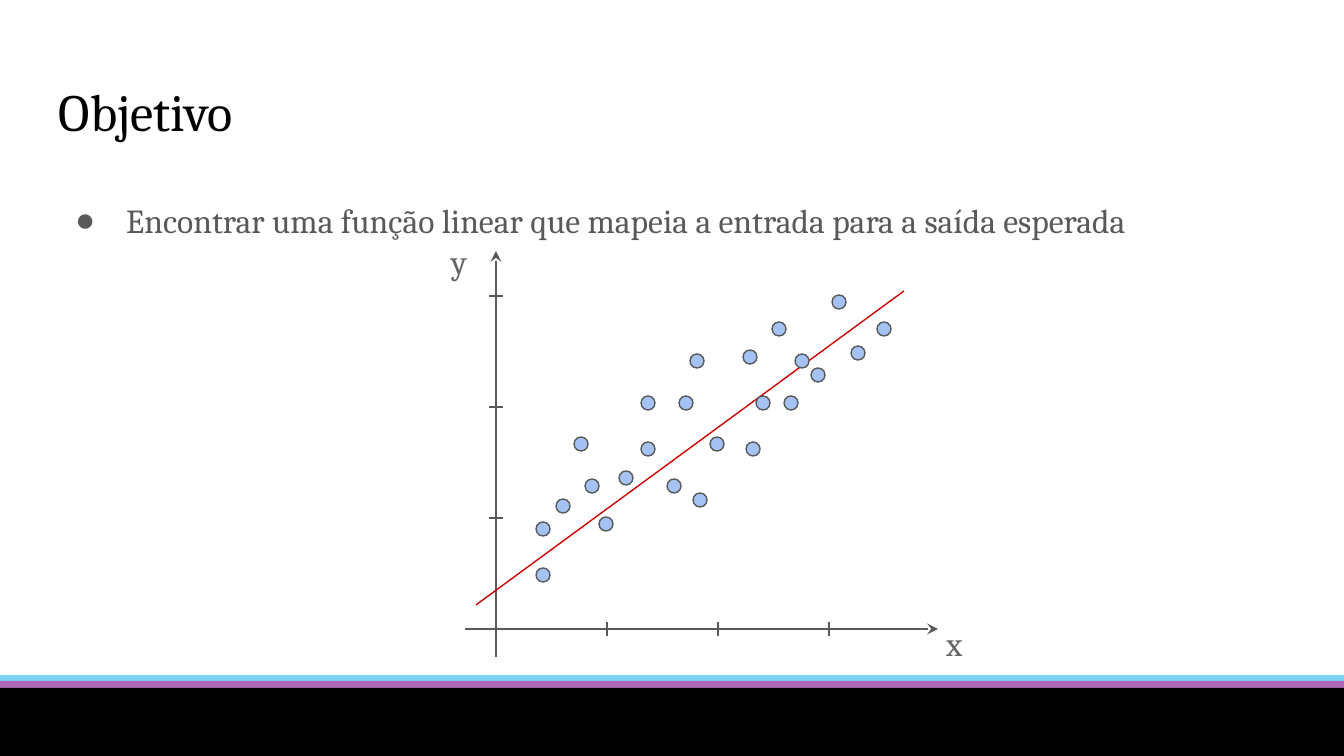
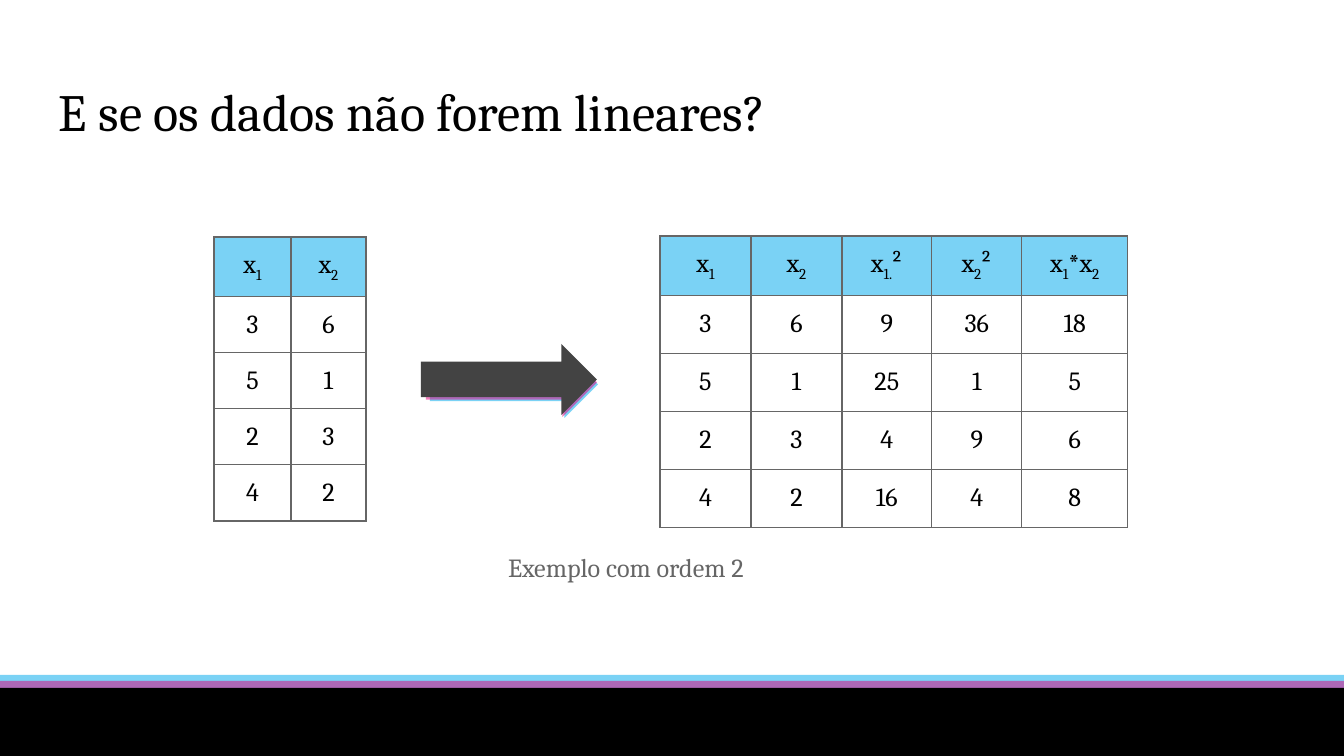
from lxml import etree
from pptx import Presentation
from pptx import util as u
from pptx.dml.color import RGBColor
from pptx.enum import shapes, text
from pptx.oxml import ns

FONT = "Cambria"
BLACK, DARK, GRAY, LABEL = "000000", "434343", "595959", "666666"
BLUE, PINK, DOT_BLUE, RED = "00A9EC", "E3007B", "A4C2F4", "CC0000"
BLUE_ALPHA, PINK_ALPHA = 52, 50
MARGIN = 13
EMU_PER_PX = 914400 / 134.4
WIDTH, HEIGHT = 1344, 756

# Bands and arrow layers, back to front: box, colour, opacity
BANDS = [
    ((0, 675, WIDTH, 67), BLUE, BLUE_ALPHA),
    ((0, 681, WIDTH, 67), PINK, PINK_ALPHA),
    ((0, 688, WIDTH, 68), BLACK, 100),
]
ARROW_LAYERS = [
    ((430, 351, 168, 67), BLUE, BLUE_ALPHA),
    ((426, 348, 171, 69), PINK, PINK_ALPHA),
    ((421, 344, 176, 71), DARK, 100),
]

TITLE_BOX = (46, 66, 1253, 84)
GOAL_BOX = (46, 167, 1253, 35)
GOAL = "Encontrar uma função linear que mapeia a entrada para a saída esperada"

ORIGIN_X, ORIGIN_Y = 496, 629
TICK_GAP, TICK_HALF, TICK_COUNT = 111, 7, 3
Y_AXIS = ((ORIGIN_X, 251), (ORIGIN_X, 657))
X_AXIS = ((938, ORIGIN_Y), (465, ORIGIN_Y))
TREND = ((476, 605), (904, 291))
DOT_SIZE = 14
DOT_CENTRES = [
    (543, 529), (563, 506), (592, 486), (543, 575), (606, 524), (700, 500),
    (626, 478), (674, 486), (648, 403), (686, 403), (697, 361), (648, 449),
    (717, 444), (818, 375), (750, 357), (779, 329), (763, 403), (791, 403),
    (802, 361), (753, 449), (581, 444), (839, 302), (858, 353), (884, 329),
]
AXIS_LABELS = [("x", (933, 610, 66, 52)), ("y", (438, 228, 38, 52))]

# Text between tildes is subscript
INPUTS = {
    "corner": (214, 237), "columns": [77, 75], "row_height": 51,
    "rows": [["x~1~", "x~2~"], ["3", "6"], ["5", "1"], ["2", "3"], ["4", "2"]],
}
EXPANDED = {
    "corner": (660, 236), "columns": [91, 91, 90, 90, 106], "row_height": 58,
    "rows": [
        ["x~1~", "x~2~", "x~1.~²", "x~2~²", "x~1~*x~2~"],
        ["3", "6", "9", "36", "18"],
        ["5", "1", "25", "1", "5"],
        ["2", "3", "4", "9", "6"],
        ["4", "2", "16", "4", "8"],
    ],
}
HEADER_HEIGHT = 51
CAPTION, CAPTION_BOX = "Exemplo com ordem 2", (495, 538, 353, 36)


def px(length):
    return u.Emu(round(length * EMU_PER_PX))


def rgb(color):
    return RGBColor.from_string(color)


def add_xml(parent, tag, **attributes):
    child = etree.SubElement(parent, ns.qn(tag))
    for name, value in attributes.items():
        child.set(name, value)
    return child


def paint(fill, color, opacity=100):
    fill.solid()
    fill.fore_color.rgb = rgb(color)
    if opacity < 100:
        # The fill's only srgbClr carries the transparency
        for node in fill._xPr.iterchildren(ns.qn("a:solidFill")):
            add_xml(node[0], "a:alpha", val=str(opacity * 1000))


def add_preset(page, preset, box, color, opacity=100, outline=None):
    shape = page.shapes.add_shape(preset, *map(px, box))
    shape.shadow.inherit = False
    paint(shape.fill, color, opacity)
    if outline:
        shape.line.color.rgb = rgb(outline)
        shape.line.width = u.Pt(0.75)
    else:
        shape.line.fill.background()
    return shape


def add_line(page, ends, color, arrow=False):
    (x1, y1), (x2, y2) = ends
    line = page.shapes.add_connector(
        shapes.MSO_CONNECTOR.STRAIGHT, px(x1), px(y1), px(x2), px(y2))
    line.line.color.rgb = rgb(color)
    line.line.width = u.Pt(0.75)
    if arrow:
        add_xml(line.line._get_or_add_ln(), "a:headEnd", type="stealth")
    add_xml(line._element.spPr, "a:effectLst")


def set_margins(frame):
    frame.margin_left = frame.margin_right = px(MARGIN)
    frame.margin_top = frame.margin_bottom = px(MARGIN)


def style(para, size, color, align=text.PP_ALIGN.LEFT):
    para.alignment = align
    para.space_before = u.Pt(0)
    para.font.name = FONT
    para.font.size = u.Pt(size)
    para.font.color.rgb = rgb(color)


def write(shape, box, words, size, color):
    """Place a text shape and fill it with one paragraph, which is returned."""
    shape.left, shape.top, shape.width, shape.height = map(px, box)
    frame = shape.text_frame
    frame.word_wrap = True
    frame.auto_size = text.MSO_AUTO_SIZE.NONE
    frame.vertical_anchor = text.MSO_ANCHOR.TOP
    set_margins(frame)
    frame.text = words
    style(frame.paragraphs[0], size, color)
    return frame.paragraphs[0]


def add_label(page, box, words, size):
    write(page.shapes.add_textbox(*map(px, box)), box, words, size, LABEL)


def add_page(deck, layout, title):
    page = deck.slides.add_slide(deck.slide_layouts[layout])
    write(page.shapes.title, TITLE_BOX, title, 28, BLACK)
    return page


def move_bands_to_master(deck, page):
    tree = deck.slide_master.shapes.element
    for box, color, opacity in BANDS:
        band = add_preset(page, shapes.MSO_SHAPE.RECTANGLE, box, color, opacity)
        tree.append(band.element)


def fill_cell(cell, words, is_header):
    set_margins(cell)
    para = cell.text_frame.paragraphs[0]
    style(para, 14, BLACK, text.PP_ALIGN.CENTER)
    for index, piece in enumerate(words.split("~")):
        if piece:
            span = para.add_run()
            span.text = piece
            if index % 2:
                span._r.get_or_add_rPr().set("baseline", "-25000")
    properties = cell._tc.get_or_add_tcPr()
    for side in ("a:lnL", "a:lnR", "a:lnT", "a:lnB"):
        border = add_xml(properties, side, w=str(u.Pt(0.75)))
        add_xml(add_xml(border, "a:solidFill"), "a:srgbClr", val=LABEL)
    if is_header:
        paint(cell.fill, BLUE, BLUE_ALPHA)
    else:
        cell.fill.background()


def add_data_table(page, data):
    rows, columns = data["rows"], data["columns"]
    heights = [HEADER_HEIGHT] + [data["row_height"]] * (len(rows) - 1)
    box = (*data["corner"], sum(columns), sum(heights))
    table = page.shapes.add_table(len(rows), len(columns), *map(px, box)).table
    table.first_row = table.horz_banding = False
    for column, width in zip(table.columns, columns):
        column.width = px(width)
    for r, (row, height) in enumerate(zip(table.rows, heights)):
        row.height = px(height)
        for cell, words in zip(row.cells, rows[r]):
            fill_cell(cell, words, r == 0)


def add_goal(page):
    para = write(page.placeholders[1], GOAL_BOX, GOAL, 18, GRAY)
    para.line_spacing = 1.5
    properties = para._p.get_or_add_pPr()
    properties.set("marL", str(u.Inches(0.5)))
    properties.set("indent", str(u.Inches(-0.38)))
    color = add_xml(properties, "a:buClr")
    add_xml(color, "a:srgbClr", val=GRAY)
    bullet = add_xml(properties, "a:buChar", char="●")
    for node in (color, bullet):
        properties.find(ns.qn("a:defRPr")).addprevious(node)


def add_scatter(page):
    add_line(page, Y_AXIS, GRAY, arrow=True)
    add_line(page, X_AXIS, GRAY, arrow=True)
    for step in range(1, TICK_COUNT + 1):
        x, y = ORIGIN_X + step * TICK_GAP, ORIGIN_Y - step * TICK_GAP
        add_line(page, ((ORIGIN_X + TICK_HALF, y), (ORIGIN_X - TICK_HALF, y)), GRAY)
        add_line(page, ((x, ORIGIN_Y + TICK_HALF), (x, ORIGIN_Y - TICK_HALF)), GRAY)
    add_line(page, TREND, RED)
    for x, y in DOT_CENTRES:
        box = (x - DOT_SIZE / 2, y - DOT_SIZE / 2, DOT_SIZE, DOT_SIZE)
        add_preset(page, shapes.MSO_SHAPE.OVAL, box, DOT_BLUE, outline=GRAY)
    for words, box in AXIS_LABELS:
        add_label(page, box, words, 18)


def main():
    deck = Presentation()
    deck.slide_width, deck.slide_height = px(WIDTH), px(HEIGHT)

    page = add_page(deck, 1, "Objetivo")
    move_bands_to_master(deck, page)
    add_goal(page)
    add_scatter(page)

    page = add_page(deck, 5, "E se os dados não forem lineares?")
    add_data_table(page, INPUTS)
    add_data_table(page, EXPANDED)
    for box, color, opacity in ARROW_LAYERS:
        add_preset(page, shapes.MSO_SHAPE.RIGHT_ARROW, box, color, opacity)
    add_label(page, CAPTION_BOX, CAPTION, 14)

    deck.save("out.pptx")


if __name__ == "__main__":
    main()
